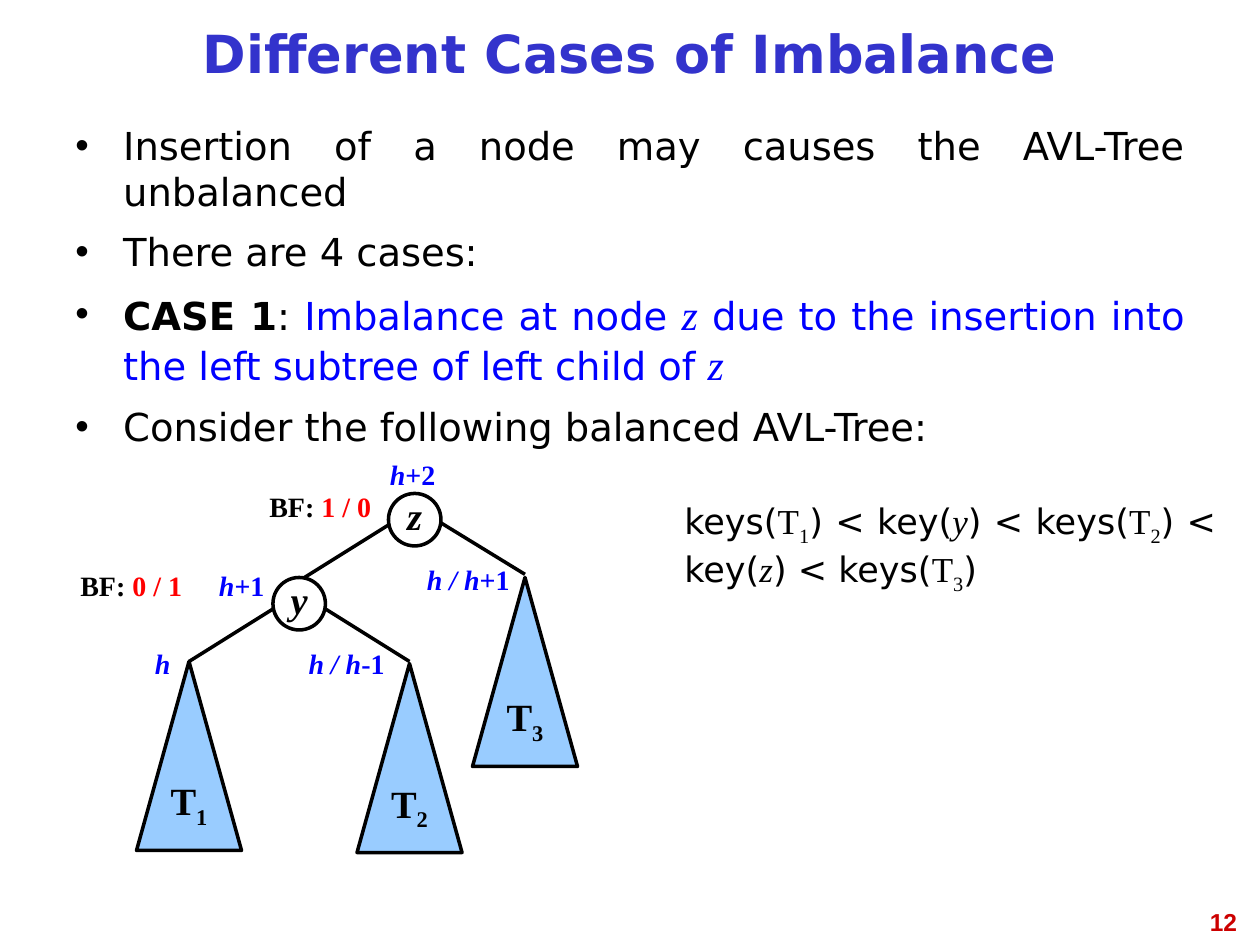
from lxml.etree import SubElement
from pptx import Presentation
from pptx.dml.color import RGBColor
from pptx.enum.shapes import MSO_CONNECTOR, MSO_SHAPE
from pptx.enum.text import MSO_ANCHOR, PP_ALIGN as Align
from pptx.oxml.ns import qn
from pptx.util import Inches, Pt

COLORS = {"title": "3333CC", "ink": "000000", "blue": "0000FF",
          "red": "FF0000", "subtree": "99CCFF", "number": "CC0000"}
SANS, SERIF = "DejaVu Sans", "Times New Roman"

# Styles: font, size, colour, then any of b(old), i(talic), s(ubscript)
STYLES = {
    "title": (SANS, 30, "title", "b"),
    "number": ("Arial", 14, "number", "b"),
    "body": (SANS, 22, "ink", ""),
    "strong": (SANS, 22, "ink", "b"),
    "case": (SANS, 22, "blue", ""),
    "case_node": (SERIF, 24, "blue", "i"),
    "keys": (SANS, 20, "ink", ""),
    "keys_node": (SERIF, 20, "ink", "i"),
    "keys_tree": (SERIF, 20, "ink", ""),
    "keys_sub": (SERIF, 20, "ink", "s"),
    "node": (SERIF, 22, "ink", "bi"),
    "tree": (SERIF, 22, "ink", "b"),
    "tree_sub": (SERIF, 22, "ink", "bs"),
    "height": (SERIF, 16, "blue", "bi"),
    "height_num": (SERIF, 16, "blue", "b"),
    "factor": (SERIF, 16, "ink", "b"),
    "factor_num": (SERIF, 16, "red", "b"),
}

# Content; places are in cells of a 120 x 90 grid
TITLE = [("Different Cases of Imbalance", "title")]
BULLETS = [
    [("Insertion of a node may causes the AVL-Tree unbalanced", "body")],
    [("There are 4 cases:", "body")],
    [("CASE 1", "strong"), (": ", "body"), ("Imbalance at node ", "case"),
     ("z", "case_node"),
     (" due to the insertion into the left subtree of left child of ", "case"),
     ("z", "case_node")],
    [("Consider the following balanced AVL-Tree:", "body")],
]
KEY_ORDER = [
    ("keys(", "keys"), ("T", "keys_tree"), ("1", "keys_sub"),
    (") < key(", "keys"), ("y", "keys_node"),
    (") < keys(", "keys"), ("T", "keys_tree"), ("2", "keys_sub"),
    (") < key(", "keys"), ("z", "keys_node"),
    (") < keys(", "keys"), ("T", "keys_tree"), ("3", "keys_sub"),
    (")", "keys"),
]
NODES = [("z", 37, 47), ("y", 26, 55)]
SUBTREES = [("1", 13, 63), ("2", 34, 63.2), ("3", 45, 55)]
EDGES = [((42, 49.8), (50, 54.7)), ((29, 55), (37, 50)),
         ((31, 58), (39, 63)), ((18, 63), (26, 58))]
LABELS = [  # column, row, width, runs
    (12, 61, 7, [("h", "height")]),
    (28, 61, 10, [("h / h", "height"), ("-1", "height_num")]),
    (18, 53.6, 10, [("h+", "height"), ("1", "height_num")]),
    (6, 53.6, 13, [("BF: ", "factor"), ("0 / 1", "factor_num")]),
    (38.6, 53, 12, [("h / h", "height"), ("+1", "height_num")]),
    (34.3, 43, 10, [("h", "height"), ("+2", "height_num")]),
    (24, 46, 13, [("BF: ", "factor"), ("1 / 0", "factor_num")]),
]

deck = Presentation()
deck.slide_width, deck.slide_height = Inches(10), Inches(7.5)
CELL = deck.slide_width / 120
page = deck.slides.add_slide(deck.slide_layouts[5])


def cells(*lengths):
    return [round(length * CELL) for length in lengths]


def color(name):
    return RGBColor.from_string(COLORS[name])


def write(para, runs, align):
    para.alignment = align
    for text, style in runs:
        face, size, ink, marks = STYLES[style]
        span = para.add_run()
        span.text = text
        font = span.font
        font.name, font.size = face, Pt(size)
        font.bold, font.italic = "b" in marks, "i" in marks
        font.color.rgb = color(ink)
        if "s" in marks:
            font._element.set("baseline", "-25000")


def add_text(place, runs, align):
    box = page.shapes.add_textbox(*cells(*place))
    box.text_frame.word_wrap = True
    write(box.text_frame.paragraphs[0], runs, align)
    return box


def outline(line):
    line.color.rgb = color("ink")
    line.width = Pt(2)


def add_tree_part(kind, place, fill, runs):
    shape = page.shapes.add_shape(kind, *cells(*place))
    shape.shadow.inherit = False
    if fill:
        shape.fill.solid()
        shape.fill.fore_color.rgb = color(fill)
    else:
        shape.fill.background()
    outline(shape.line)
    frame = shape.text_frame
    frame.word_wrap = False
    frame.vertical_anchor = MSO_ANCHOR.MIDDLE
    para = frame.paragraphs[0]
    para.line_spacing = 0.81
    write(para, runs, Align.CENTER)


# Title
title = page.shapes.title
title.left, title.top, title.width, title.height = cells(6, 1, 108, 9)
title.text_frame.vertical_anchor = MSO_ANCHOR.MIDDLE
heading = title.text_frame.paragraphs[0]
heading.line_spacing = 0.81
write(heading, TITLE, Align.CENTER)

# Bulleted text
body = page.shapes.add_textbox(*cells(6, 11, 108, 34)).text_frame
body.word_wrap = True
for index, runs in enumerate(BULLETS):
    para = body.add_paragraph() if index else body.paragraphs[0]
    props = para._p.get_or_add_pPr()
    props.set("marL", str(Inches(0.38)))
    props.set("indent", str(-Inches(0.38)))
    bullet_color = SubElement(props, qn("a:buClr"))
    SubElement(bullet_color, qn("a:srgbClr"), val=COLORS["ink"])
    SubElement(props, qn("a:buFont"), typeface="Arial")
    SubElement(props, qn("a:buChar"), char="•")
    if index:
        para.space_before = Pt(8)
    write(para, runs, Align.JUSTIFY)

# Tree: edges, nodes, subtrees
for start, end in EDGES:
    edge = page.shapes.add_connector(MSO_CONNECTOR.STRAIGHT, *cells(*start, *end))
    outline(edge.line)
    SubElement(edge._element.spPr, qn("a:effectLst"))
for name, column, row in NODES:
    add_tree_part(MSO_SHAPE.OVAL, (column, row, 5, 5), None, [(name, "node")])
for number, column, row in SUBTREES:
    add_tree_part(MSO_SHAPE.ISOSCELES_TRIANGLE, (column, row, 10, 18), "subtree",
                  [("T", "tree"), (number, "tree_sub")])

# Heights and balance factors
for column, row, width, runs in LABELS:
    add_text((column, row, width, 4.4), runs, Align.CENTER)

# Key order and page number
add_text((64, 47, 53, 12), KEY_ORDER, Align.JUSTIFY)
add_text((91, 85.8, 28, 6.2), [("12", "number")], Align.RIGHT)

deck.save("out.pptx")
